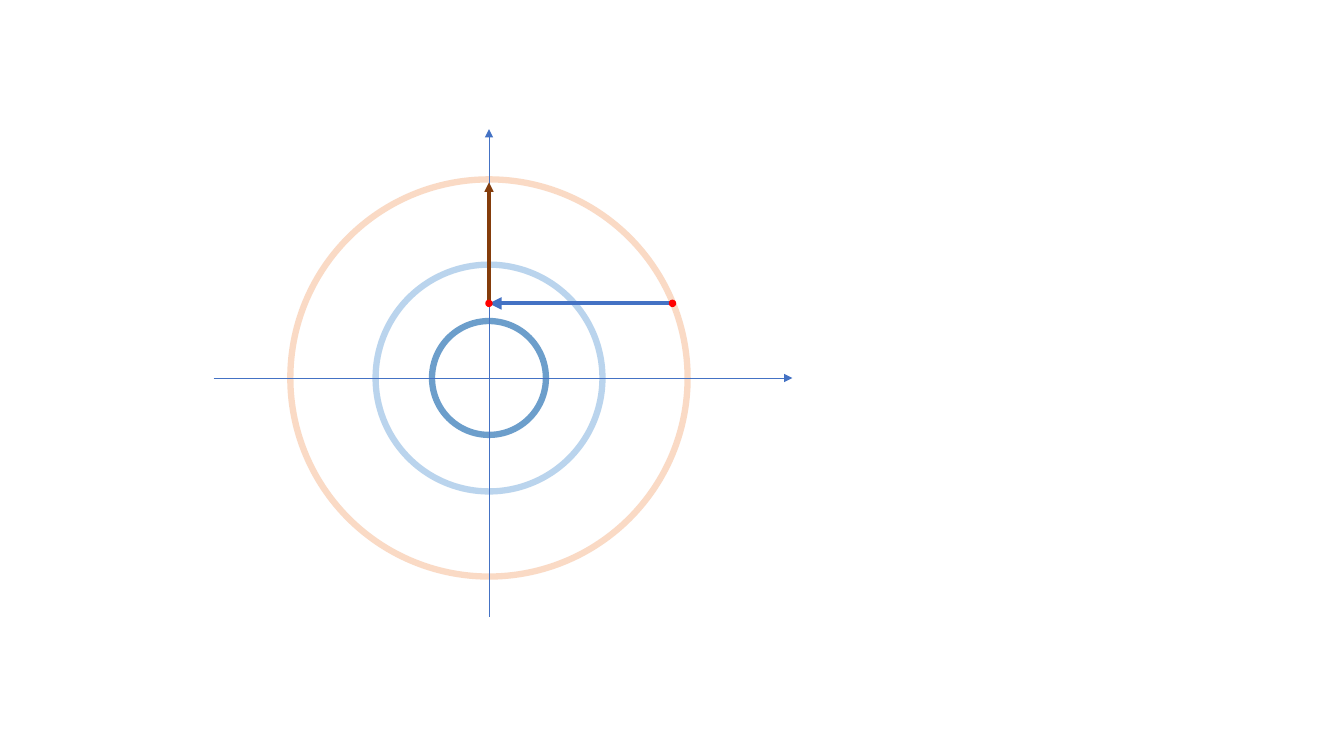
"""Draw three rings on a pair of axes, with a point and its two arrows."""
from lxml import etree
from pptx import Presentation, util as u
from pptx.dml.color import RGBColor
from pptx.enum import shapes as s
from pptx.oxml import ns

PX = 9144
MID = (485, 375)
RINGS = [(394, "F8CBAD"), (113, "2E75B6"), (225, "9DC3E6")]
FOOT = (485, 301)
POINT = (667, 301)
ARROWS = [
    (POINT, FOOT, "4472C4", 3),
    ((212, 375), (786, 375), "4472C4", 0.5),
    ((485, 612), (485, 128), "4472C4", 0.5),
    (FOOT, (485, 181), "843C0B", 2.25),
]


def emu(px):
    """Turn px into EMU."""
    return u.Emu(int(px * PX))


def paint(part, color):
    """Give a fill a solid colour."""
    part.solid()
    part.fore_color.rgb = RGBColor.from_string(color)


def pen(line, color, width):
    """Set the colour and width of a line."""
    paint(line.fill, color)
    line.width = u.Pt(width)


def disc(slide, mid, size, color, width):
    """Add a circle around a centre."""
    left, top = (emu(at - size / 2) for at in mid)
    shape = slide.shapes.add_shape(
        s.MSO_SHAPE.OVAL, left, top, emu(size), emu(size))
    shape.shadow.inherit = False
    pen(shape.line, color, width)
    return shape


def ring(slide, size, color):
    """Add an open, partly clear circle around the origin."""
    shape = disc(slide, MID, size, color, 4.5)
    shape.fill.background()
    tint = shape.line._ln.find(".//" + ns.qn("a:srgbClr"))
    etree.SubElement(tint, ns.qn("a:alpha"), val="70000")


def dot(slide, mid):
    """Add a small red point."""
    paint(disc(slide, mid, 6, "FF0000", 1).fill, "FF0000")


def arrow(slide, start, end, color, width):
    """Add a straight line with a head at its end."""
    ends = [emu(at) for at in start + end]
    link = slide.shapes.add_connector(s.MSO_CONNECTOR.STRAIGHT, *ends)
    pen(link.line, color, width)
    etree.SubElement(link.line._ln, ns.qn("a:tailEnd"), type="triangle")
    etree.SubElement(link._element.spPr, ns.qn("a:effectLst"))


def main():
    """Build and save the slide."""
    deck = Presentation()
    deck.slide_width, deck.slide_height = emu(1333), emu(750)
    slide = deck.slides.add_slide(deck.slide_layouts[6])
    for size, color in RINGS:
        ring(slide, size, color)
    for item in ARROWS[:-1]:
        arrow(slide, *item)
    dot(slide, POINT)
    arrow(slide, *ARROWS[-1])
    dot(slide, FOOT)
    deck.save("out.pptx")


if __name__ == "__main__":
    main()
